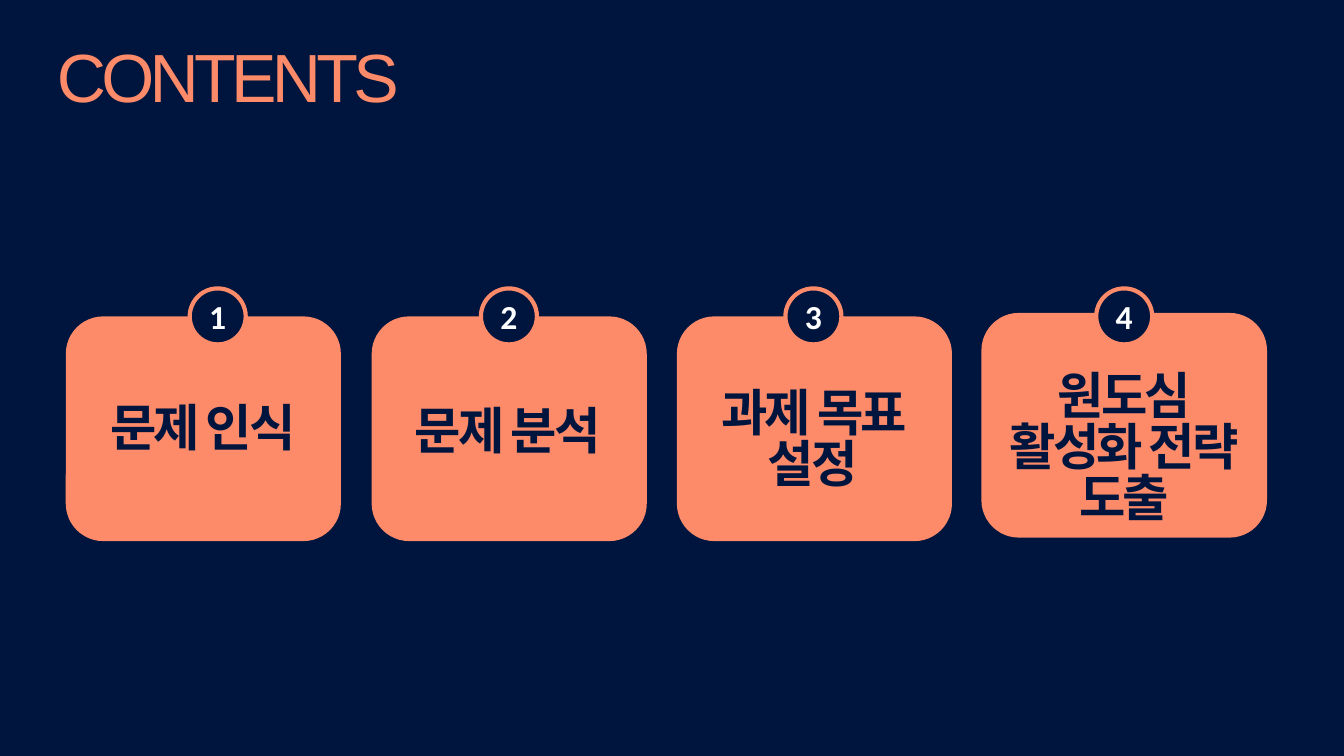
from lxml import etree
from pptx import Presentation
from pptx.dml.color import RGBColor
from pptx.enum.shapes import MSO_SHAPE
from pptx.enum.text import MSO_ANCHOR, PP_ALIGN
from pptx.oxml.ns import qn
from pptx.util import Emu, Pt

ROUNDED, OVAL = MSO_SHAPE.ROUNDED_RECTANGLE, MSO_SHAPE.OVAL
MIDDLE, BOTTOM = MSO_ANCHOR.MIDDLE, MSO_ANCHOR.BOTTOM
CENTER = PP_ALIGN.CENTER
PX = 9525
NAVY, CORAL, WHITE = "00153D", "FD8A69", "FFFFFF"
KOREAN = "Noto Sans CJK KR"
BADGE_SIZE = 80
BADGE_TOP = 412

SECTIONS = [
    (["문제 인식"], (94, 452, 393, 321), (80, 560, 420, 97), 271),
    (["문제 분석"], (531, 452, 393, 321), (515, 564, 420, 97), 687),
    (["과제 목표 설정"], (967, 452, 393, 321), (979, 524, 364, 184), 1122),
    (["원도심", "활성화 전략", "도출"], (1402, 447, 408, 321),
     (1402, 485, 408, 272), 1566),
]


def color(value):
    return RGBColor.from_string(value)


def emu(box):
    return [Emu(length * PX) for length in box]


def add_shape(page, kind, box, fill, line=None):
    shape = page.shapes.add_shape(kind, *emu(box))
    shape.shadow.inherit = False
    shape.fill.solid()
    shape.fill.fore_color.rgb = color(fill)
    if line:
        shape.line.color.rgb = color(line)
        shape.line.width = Pt(4.5)
    else:
        shape.line.fill.background()
    return shape


def write(shape, lines, size, font, ink, bold=False, tracking=0,
          anchor=MIDDLE, leading=None):
    frame = shape.text_frame
    frame.word_wrap = True
    frame.vertical_anchor = anchor
    for index, text in enumerate(lines):
        para = frame.add_paragraph() if index else frame.paragraphs[0]
        para.alignment = CENTER
        if leading:
            para.line_spacing = leading
        span = para.add_run()
        span.text = text
        span.font.size = Pt(size)
        span.font.name = font
        span.font.bold = bold
        span.font.color.rgb = color(ink)
        properties = span.font._element
        properties.set("spc", str(tracking * 100))
        etree.SubElement(properties, qn("a:ea")).set("typeface", font)


def add_title(page, box):
    title = page.shapes.add_textbox(*emu(box))
    write(title, ["CONTENTS"], 73, "Arial", CORAL, tracking=-5)


def add_section(page, number, lines, card, label_box, badge_left):
    add_shape(page, ROUNDED, card, CORAL)
    label = page.shapes.add_textbox(*emu(label_box))
    write(label, lines, 54, KOREAN, NAVY, bold=True, tracking=-3,
          anchor=BOTTOM, leading=0.84)
    badge_box = (badge_left, BADGE_TOP, BADGE_SIZE, BADGE_SIZE)
    badge = add_shape(page, OVAL, badge_box, NAVY, line=CORAL)
    write(badge, [str(number)], 36, "Calibri", WHITE, bold=True)


def main():
    deck = Presentation()
    deck.slide_width, deck.slide_height = emu((1920, 1080))
    page = deck.slides.add_slide(deck.slide_layouts[6])
    page.background.fill.solid()
    page.background.fill.fore_color.rgb = color(NAVY)
    add_title(page, (-48, 5, 747, 205))
    for number, section in enumerate(SECTIONS, start=1):
        add_section(page, number, *section)
    deck.save("out.pptx")


if __name__ == "__main__":
    main()
